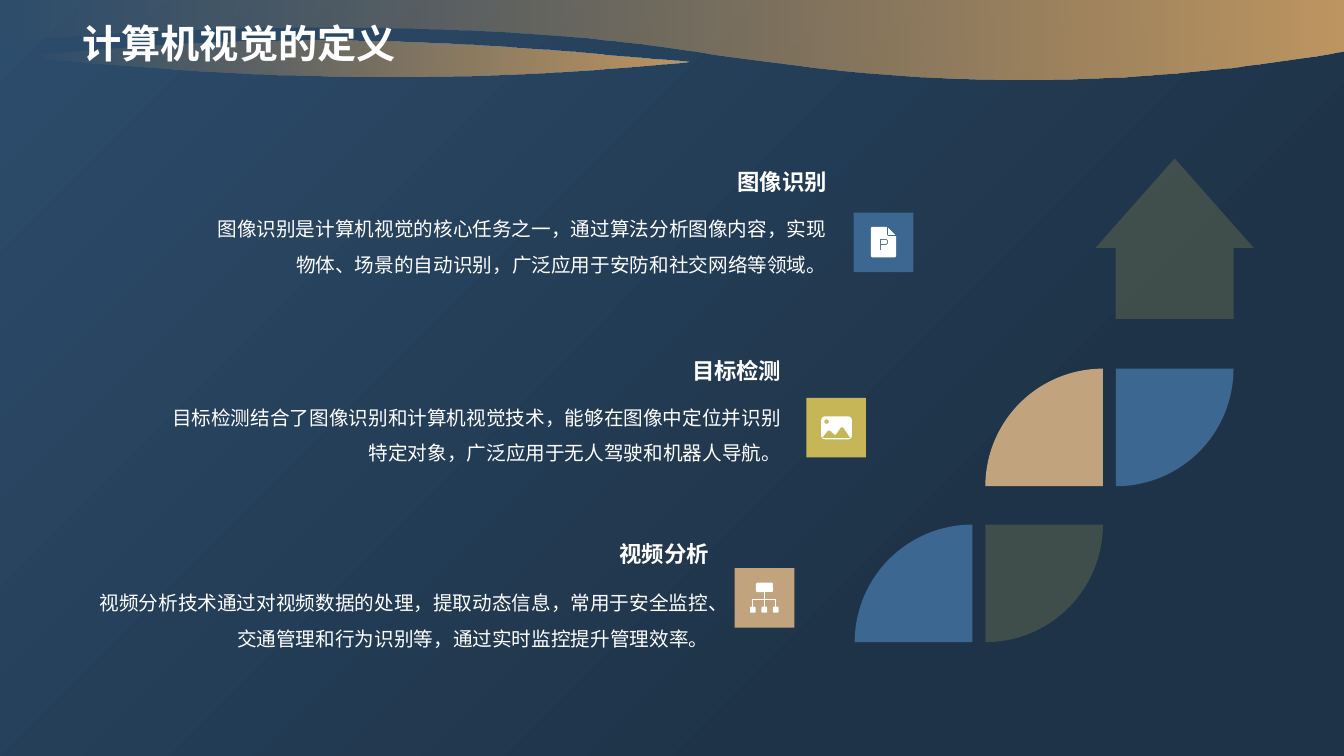
from pptx import Presentation
from pptx.dml.color import RGBColor
from pptx.enum.shapes import MSO_CONNECTOR, MSO_SHAPE
from pptx.enum.text import MSO_ANCHOR, PP_ALIGN
from pptx.oxml.ns import qn
from pptx.util import Pt
from lxml import etree

RECT = MSO_SHAPE.RECTANGLE
ROUNDED = MSO_SHAPE.ROUNDED_RECTANGLE
OVAL = MSO_SHAPE.OVAL
WEDGE = MSO_SHAPE.PIE_WEDGE
UP_ARROW = MSO_SHAPE.UP_ARROW
STRAIGHT = MSO_CONNECTOR.STRAIGHT
TOP, BOTTOM = MSO_ANCHOR.TOP, MSO_ANCHOR.BOTTOM
LEFT, RIGHT = PP_ALIGN.LEFT, PP_ALIGN.RIGHT
CJK = "Noto Sans CJK SC"
COLORS = {"navy": "1E3348", "steel": "2D4D6C", "bronze": "BF9762", "blue": "3C6790",
          "gold": "C6B657", "tan": "C1A47E", "white": "FFFFFF"}

prs = Presentation()
prs.slide_width, prs.slide_height = Pt(960), Pt(540)
slide = prs.slides.add_slide(prs.slide_layouts[6])
shapes = slide.shapes


def add_text(text, x, y, w, h, size, font=CJK, bold=False, align=LEFT, anchor=TOP, spacing=1.0):
    tf = shapes.add_textbox(Pt(x), Pt(y), Pt(w), Pt(h)).text_frame
    tf.word_wrap = True
    tf.vertical_anchor = anchor
    p = tf.paragraphs[0]
    p.alignment, p.line_spacing = align, spacing
    r = p.add_run()
    r.text = text
    r.font.size, r.font.bold, r.font.name = Pt(size), bold, font
    r.font.color.rgb = RGBColor.from_string(COLORS["white"])
    etree.SubElement(r.font._element, qn("a:ea"), typeface=font)


def add_outline(*contours):
    """Each contour lists points; a step of six numbers is a Bezier curve."""
    builder = None
    for start, *steps in contours:
        points, here = [], start
        for step in steps:
            if len(step) == 6:
                knots = [here, step[:2], step[2:4], step[4:]]
                for t in (i / 24 for i in range(1, 25)):
                    weights = ((1 - t) ** 3, 3 * t * (1 - t) ** 2, 3 * t * t * (1 - t), t ** 3)
                    points.append([sum(c * k[axis] for c, k in zip(weights, knots))
                                   for axis in (0, 1)])
            else:
                points.append(step)
            here = step[-2:]
        if builder is None:
            builder = shapes.build_freeform(Pt(start[0]), Pt(start[1]))
        else:
            builder.move_to(Pt(start[0]), Pt(start[1]))
        builder.add_line_segments([(Pt(x), Pt(y)) for x, y in points], close=True)
    return builder.convert_to_shape()


# Background
fill = slide.background.fill
fill.gradient()
fill.gradient_angle = 315
for stop, color, position in zip(fill.gradient_stops, ("steel", "navy"), (0, 0.72)):
    stop.color.rgb = RGBColor.from_string(COLORS[color])
    stop.position = position

# Header waves, fading out to the left
waves = [
    [(0, 0), (0, 30.24), (159.12, 15.84, 349.92, 14.4, 496.08, 36.72),
     (664.56, 62.64, 792.72, 64.8, 960, 36.72), (960, 0)],
    [(449.28, 40.32), (462.96, 41.76, 477.36, 42.48, 491.76, 43.92),
     (331.92, 59.04, 208.08, 57.6, 46.08, 43.2), (37.44, 42.48, 28.08, 41.76, 18.72, 41.04),
     (18.72, 40.32), (174.24, 24.48, 293.04, 25.92, 449.28, 40.32)],
]
for wave in waves:
    sp = add_outline(wave)
    sp.shadow.inherit = False
    sp.line.fill.background()
    sp.fill.gradient()
    sp.fill.gradient_angle = 0
    for stop, position in zip(sp.fill.gradient_stops, (0, 1)):
        stop.color.rgb = RGBColor.from_string(COLORS["bronze"])
        stop.position = position
    clear = next(sp._element.spPr.iter(qn("a:srgbClr")))
    etree.SubElement(clear, qn("a:alpha"), val="0")

# Preset shapes: kind, left, top, width, height, colour, opacity, rotation
WEDGE_X, WEDGE_STEP, WEDGE_SIZE = 610.5, 93.3, 84
LOW, HIGH = 374.7, 263.3
parts = [(WEDGE, WEDGE_X + col * WEDGE_STEP, y, WEDGE_SIZE, WEDGE_SIZE, color, opacity, turn)
         for col, y, color, opacity, turn in ((0, LOW, "blue", 100, 0), (1, LOW, "gold", 20, 180),
                                              (1, HIGH, "tan", 100, 0), (2, HIGH, "blue", 100, 180))]
parts += [
    (UP_ARROW, 782.6, 113.2, 113, 114.6, "gold", 20, 0),
    (RECT, 609.8, 151.8, 42.6, 42.6, "blue", 100, 0),
    (RECT, 576, 284.2, 42.6, 42.6, "gold", 100, 0),
    (RECT, 524.8, 405.8, 42.6, 42.6, "tan", 100, 0),
    (ROUNDED, 586.6, 297.4, 22, 16.4, "white", 100, 0),
    (OVAL, 588.9, 299.6, 3.1, 3.1, "gold", 100, 0),
    (ROUNDED, 540, 416.2, 12.2, 6.7, "white", 100, 0),
]
parts += [(ROUNDED, 535.8 + 8.15 * i, 433.4, 4, 4.3, "white", 100, 0) for i in range(3)]

painted = []
for kind, x, y, w, h, color, opacity, turn in parts:
    sp = shapes.add_shape(kind, Pt(x), Pt(y), Pt(w), Pt(h))
    sp.rotation = turn
    if kind == UP_ARROW:
        sp.adjustments[0], sp.adjustments[1] = 0.745, 0.565
    painted.append((sp, color, opacity))

mountains = add_outline([(587.4, 312.8), (591, 308.2), (591.6, 307.5, 592.6, 307.4, 593.3, 308),
                         (595.8, 310.4), (596.3, 310.8, 596.9, 310.7, 597.3, 310.2),
                         (600.3, 305.9), (600.9, 305.1, 602, 305.1, 602.6, 305.9), (607.2, 312.8)])
document = add_outline(
    [(623.4, 162), (633.6, 162), (633.6, 167.1), (633.6, 168, 634.2, 168.6, 635, 168.6),
     (640.2, 168.6), (640.2, 182.4), (640.2, 183.2, 639.6, 183.8, 638.8, 183.8),
     (623.4, 183.8), (622.6, 183.8, 622, 183.2, 622, 182.4), (622, 163.4),
     (622, 162.6, 622.6, 162, 623.4, 162)],
    [(634.5, 162.7), (639.5, 167.7), (634.5, 167.7)],
    [(628.6, 170.6), (628.6, 178.6), (629.3, 178.6), (629.3, 175), (632.2, 175),
     (633.6, 175, 634.4, 174, 634.4, 172.8), (634.4, 171.6, 633.6, 170.6, 632.2, 170.6)],
    [(629.3, 171.3), (632.2, 171.3), (633.1, 171.3, 633.7, 172, 633.7, 172.8),
     (633.7, 173.6, 633.1, 174.3, 632.2, 174.3), (629.3, 174.3)])
painted += [(mountains, "gold", 100), (document, "white", 100)]

for sp, color, opacity in painted:
    sp.shadow.inherit = False
    sp.line.fill.background()
    sp.fill.solid()
    sp.fill.fore_color.rgb = RGBColor.from_string(COLORS[color])
    if opacity < 100:
        solid = next(sp._element.spPr.iter(qn("a:srgbClr")))
        etree.SubElement(solid, qn("a:alpha"), val=str(opacity * 1000))

# Branches of the organisation icon
for x1, y1, x2, y2 in ((546, 422.9, 546, 433.4), (537.8, 428.2, 554.2, 428.2),
                       (537.8, 428.2, 537.8, 433.4), (554.2, 428.2, 554.2, 433.4)):
    branch = shapes.add_connector(STRAIGHT, Pt(x1), Pt(y1), Pt(x2), Pt(y2))
    branch.line.width = Pt(0.75)
    branch.line.color.rgb = RGBColor.from_string(COLORS["white"])
    etree.SubElement(branch._element.spPr, qn("a:effectLst"))

# Texts
topics = [
    (145.44, 115.92, 143.28, "图像识别",
     "图像识别是计算机视觉的核心任务之一，通过算法分析图像内容，实现物体、场景的自动识别，广泛应用于安防和社交网络等领域。"),
    (113.04, 251.28, 277.92, "目标检测",
     "目标检测结合了图像识别和计算机视觉技术，能够在图像中定位并识别特定对象，广泛应用于无人驾驶和机器人导航。"),
    (61.2, 381.6, 410.4, "视频分析",
     "视频分析技术通过对视频数据的处理，提取动态信息，常用于安全监控、交通管理和行为识别等，通过实时监控提升管理效率。"),
]
for x, heading_y, body_y, heading, body in topics:
    add_text(body, x, body_y, 452.16, 80.64, 14, align=RIGHT, spacing=1.5)
    add_text(heading, x, heading_y, 452.16, 26.64, 16, font="Arial", bold=True,
             align=RIGHT, anchor=BOTTOM)
add_text("计算机视觉的定义", 51.84, 10.08, 855.36, 70.56, 28, bold=True)

prs.save("out.pptx")
